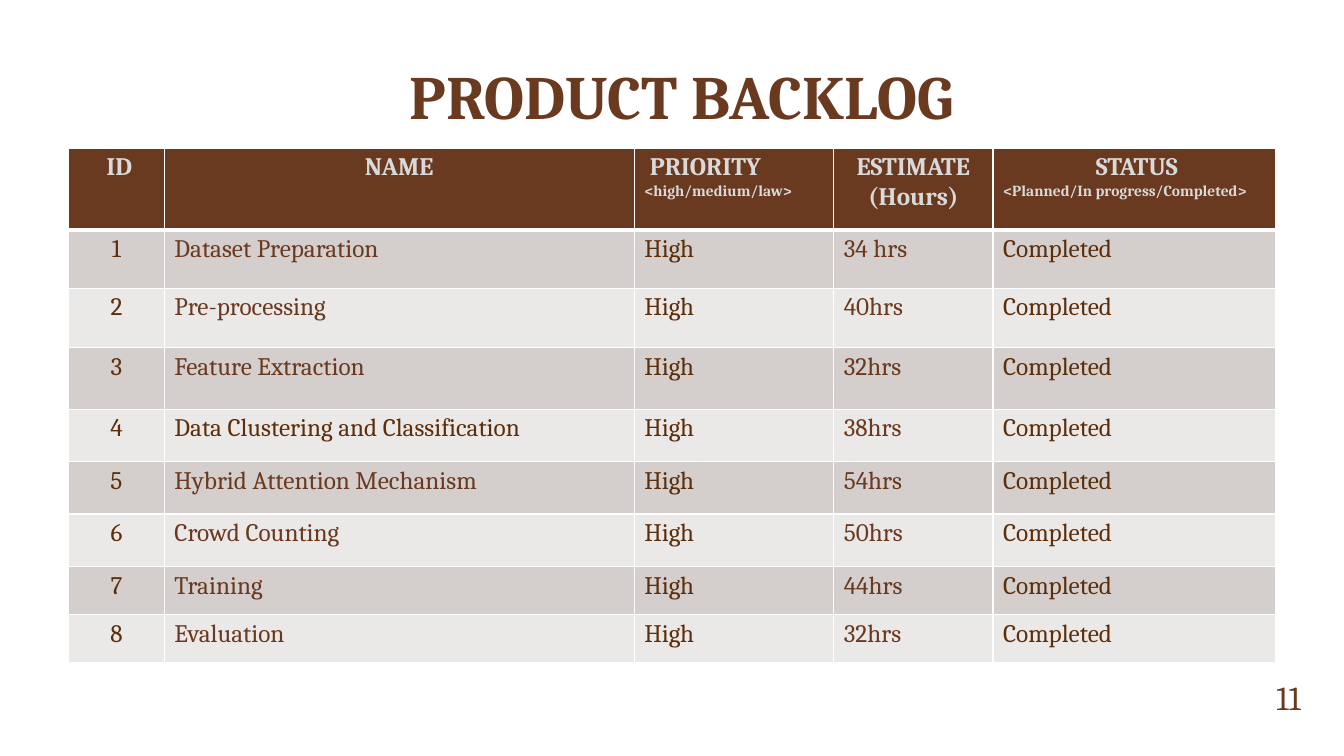
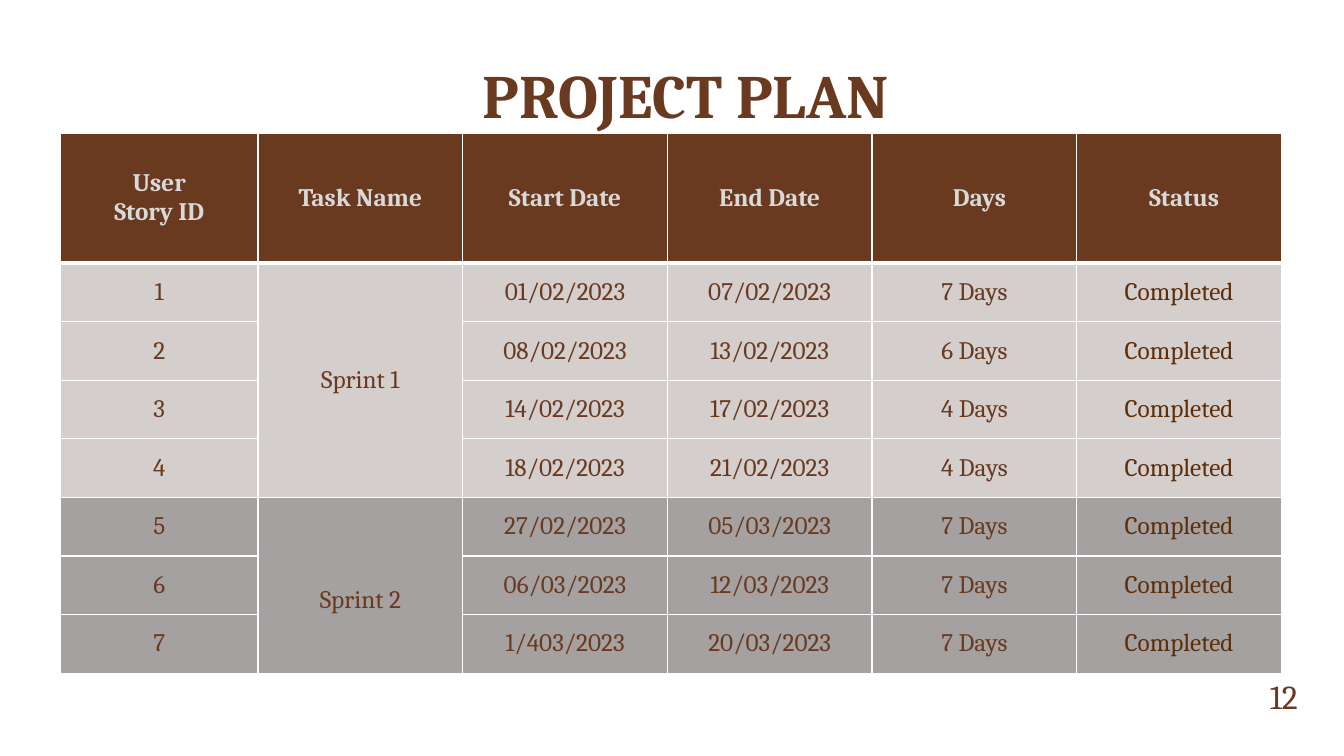
from lxml import etree
from pptx import Presentation
from pptx.dml.color import RGBColor
from pptx.enum import text
from pptx.oxml import ns
from pptx.util import Inches, Pt

COLORS = {
    "brown": "6A3A20",
    "ink": "5C2F0A",
    "header": "D9D9D9",
    "light": "EBE8E8",
    "mid": "D4CECD",
    "dark": "A4A1A0",
    "rule": "FFFFFF",
}
FONT = "Cambria"
TITLE_ONLY = 5
LEFT, CENTER, RIGHT = text.PP_ALIGN.LEFT, text.PP_ALIGN.CENTER, text.PP_ALIGN.RIGHT
TOP, MIDDLE, BOTTOM = (text.MSO_ANCHOR.TOP, text.MSO_ANCHOR.MIDDLE,
                       text.MSO_ANCHOR.BOTTOM)


def rgb(name):
    return RGBColor.from_string(COLORS[name])


class Deck:
    """Holds the style and the current slide; lengths are percent of the slide."""

    def __init__(self):
        self.prs = Presentation()
        self.prs.slide_width, self.prs.slide_height = Inches(13.33), Inches(7.5)
        self.slide = None

    def x(self, share):
        return int(self.prs.slide_width * share / 100)

    def y(self, share):
        return int(self.prs.slide_height * share / 100)

    def box(self, left, top, width, height):
        return self.x(left), self.y(top), self.x(width), self.y(height)

    def set_text(self, frame, lines, color, size=18, bold=False, align=LEFT):
        """Fill in paragraphs; a line may be (text, size, align) to differ."""
        frame.word_wrap = True
        for i, line in enumerate(lines):
            words, line_size, line_align = (
                line if isinstance(line, tuple) else (line, size, align))
            paragraph = frame.paragraphs[0] if i == 0 else frame.add_paragraph()
            paragraph.text = words
            paragraph.alignment = line_align
            font = paragraph.font
            font.name, font.size, font.bold = FONT, Pt(line_size), bold
            font.color.rgb = rgb(color)

    def add_slide(self, heading, area):
        self.slide = self.prs.slides.add_slide(self.prs.slide_layouts[TITLE_ONLY])
        title = self.slide.shapes.title
        title.left, title.top, title.width, title.height = self.box(*area)
        frame = title.text_frame
        frame.auto_size = text.MSO_AUTO_SIZE.NONE
        frame.vertical_anchor = BOTTOM
        self.set_text(frame, [heading], "brown", 44, True, CENTER)

    def page_number(self, number, left, top):
        frame = self.slide.shapes.add_textbox(
            *self.box(left, top, 5.85, 4.4)).text_frame
        frame.vertical_anchor = MIDDLE
        self.set_text(frame, [str(number)], "brown", 24, align=RIGHT)

    def table(self, left, top, widths, heights):
        area = self.box(left, top, sum(widths), sum(heights))
        grid = self.slide.shapes.add_table(len(heights), len(widths), *area).table
        for column, width in zip(grid.columns, widths):
            column.width = self.x(width)
        for row, height in zip(grid.rows, heights):
            row.height = self.y(height)
        return grid

    def borders(self, cell, top, bottom):
        props = cell._tc.get_or_add_tcPr()
        for side, points in (("L", 1), ("R", 1), ("T", top), ("B", bottom)):
            line = etree.SubElement(props, ns.qn(f"a:ln{side}"), w=str(Pt(points)))
            fill = etree.SubElement(line, ns.qn("a:solidFill"))
            etree.SubElement(fill, ns.qn("a:srgbClr"), val=COLORS["rule"])

    def cell(self, grid, row, col, lines, fill, color, align=LEFT, anchor=TOP):
        cell = grid.cell(row, col)
        # The rule below the header is heavier than the others
        self.borders(cell, 3 if row == 1 else 1, 3 if row == 0 else 1)
        cell.fill.solid()
        cell.fill.fore_color.rgb = rgb(fill)
        cell.vertical_anchor = anchor
        self.set_text(cell.text_frame, lines, color, bold=row == 0, align=align)
        return cell


def product_backlog(deck):
    deck.add_slide("PRODUCT BACKLOG", (10.73, 6, 80, 12.13))
    header = [
        [" ID"],
        ["NAME"],
        [(" PRIORITY", 18, LEFT), ("<high/medium/law>", 11, LEFT)],
        ["ESTIMATE (Hours)"],
        [" STATUS", ("<Planned/In progress/Completed>", 11, LEFT)],
    ]
    tasks = [
        ("Dataset Preparation", "34 hrs"),
        ("Pre-processing", "40hrs"),
        ("Feature Extraction", "32hrs"),
        ("Data Clustering and Classification", "38hrs"),
        ("Hybrid Attention Mechanism", "54hrs"),
        ("Crowd Counting", "50hrs"),
        ("Training", "44hrs"),
        ("Evaluation", "32hrs"),
    ]
    grid = deck.table(5.1, 19.6, [7.13, 34.96, 14.85, 11.85, 21],
                      [10.8, 7.73, 7.87, 8.13] + [6.93] * 3 + [6.4] * 2)
    for col, lines in enumerate(header):
        deck.cell(grid, 0, col, lines, "brown", "header", CENTER)

    # Task rows, in alternating bands
    for row, (task, hours) in enumerate(tasks, 1):
        fill = "mid" if row % 2 else "light"
        task_color = "ink" if row == 4 else "brown"
        values = [(str(row), "ink"), (task, task_color), ("High", "ink"),
                  (hours, "brown"), ("Completed", "ink")]
        for col, (value, color) in enumerate(values):
            deck.cell(grid, row, col, [value], fill, color,
                      LEFT if col else CENTER)
    deck.page_number(11, 91.67, 90)


def project_plan(deck):
    deck.add_slide("PROJECT PLAN", (11.03, 4.8, 80, 13.2))
    header = [["User", "Story ID"], ["Task Name"], ["Start Date"], ["End Date"],
              ["Days"], ["Status"]]
    sprints = [
        ("Sprint 1", "mid", [
            ("01/02/2023", "07/02/2023", "7 Days"),
            ("08/02/2023", "13/02/2023", "6 Days"),
            ("14/02/2023", "17/02/2023", "4 Days"),
            ("18/02/2023", "21/02/2023", "4 Days"),
        ]),
        ("Sprint 2", "dark", [
            ("27/02/2023", "05/03/2023", "7 Days"),
            ("06/03/2023", "12/03/2023", "7 Days"),
            ("1/403/2023", "20/03/2023", "7 Days"),
        ]),
    ]
    grid = deck.table(4.5, 17.6, [14.7] + [15.23] * 5, [17.2] + [7.75] * 7)
    for col, lines in enumerate(header):
        heading = deck.cell(grid, 0, col, lines, "brown", "header", CENTER, MIDDLE)
        heading.margin_top = heading.margin_bottom = Inches(0.1)
        if col >= 4:
            heading.margin_left = Inches(0.2)

    # Each sprint has one merged name cell beside its stories
    row = 1
    for sprint, fill, stories in sprints:
        first = row
        for start, end, days in stories:
            name = sprint if row == first else ""
            values = [str(row), name, start, end, days, "Completed"]
            for col, value in enumerate(values):
                deck.cell(grid, row, col, [value] if value else [], fill,
                          "ink" if col == 5 else "brown", CENTER, MIDDLE)
            row += 1
        grid.cell(first, 1).merge(grid.cell(row - 1, 1))
    # The second sprint's name sits below the middle
    grid.cell(5, 1).margin_top = Inches(0.34)
    deck.page_number(12, 91.45, 89.87)


def main():
    deck = Deck()
    product_backlog(deck)
    project_plan(deck)
    deck.prs.save("out.pptx")


if __name__ == "__main__":
    main()
